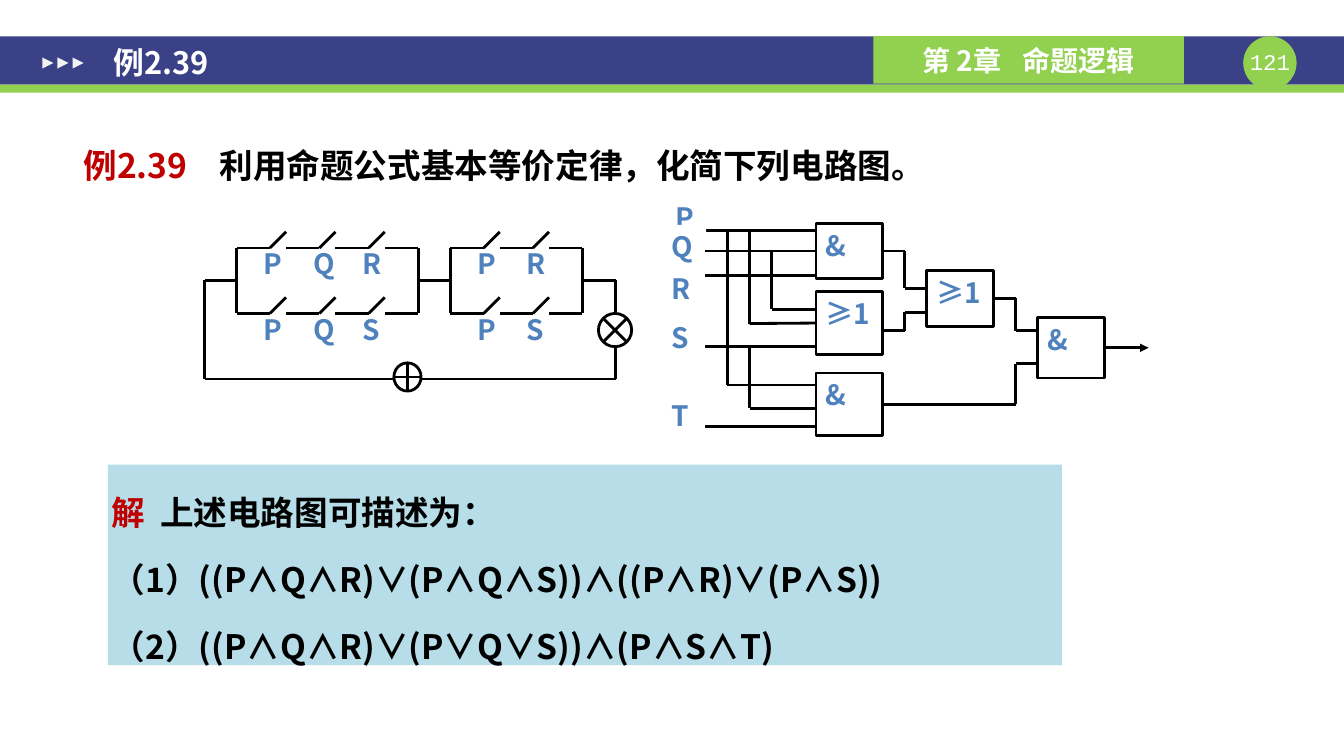
from itertools import pairwise

from lxml import etree
from pptx import Presentation
from pptx.dml.color import RGBColor
from pptx.enum import shapes, text
from pptx.oxml.ns import qn
from pptx.util import Emu, Pt

PX = 9144  # EMU per px, 100 px to the inch
SANS, MONO = "Noto Sans CJK SC", "Courier New"
NAVY, GREEN, WHITE, BLACK = "3A4187", "92D050", "FFFFFF", "000000"
RED, BLUE, PALE, GREY = "C00000", "4F81BD", "B7DEE8", "F2F2F2"
KIND = shapes.MSO_SHAPE
MIDDLE = text.MSO_ANCHOR.MIDDLE
CENTER, JUSTIFY = text.PP_ALIGN.CENTER, text.PP_ALIGN.JUSTIFY

# Content: a paragraph is a list of (text, format) spans
TITLE = [[("例2.39", {})]]
CHAPTER = [[("第 2章", {}), ("　", {"size": 15}), ("命题逻辑", {})]]
PROBLEM = [[("例2.39\t", {"color": RED}),
            ("利用命题公式基本等价定律，化简下列电路图。", {})]]
ANSWER = [
    [("解\t", {"color": RED}), ("上述电路图可描述为：", {})],
    [("（1）((P∧Q∧R)∨(P∧Q∧S))∧((P∧R)∨(P∧S))", {})],
    [("（2）((P∧Q∧R)∨(P∨Q∨S))∧(P∧S∧T)", {})],
]

# Switch circuit: left edge of each block and its two parallel branches
BLOCKS = [(235, ("PQR", "PQS")), (447, ("PR", "PS"))]
LANES = (246, 311)
LEAD, SWITCH = 33, 16
LOOP = [(235, 278), (203, 278), (203, 376), (611, 376), (611, 278), (578, 278)]
BRIDGE = [(415, 278), (447, 278)]
LAMP, SOURCE = (594, 311, 33, 33), (391, 360, 27, 28)

# Gate circuit
GATES = [("&", (810, 222, 66, 54)), ("≥1", (810, 289, 66, 63)),
         ("&", (810, 370, 66, 62)), ("≥1", (920, 268, 66, 56)),
         ("&", (1030, 315, 66, 60))]
INPUTS = [("P", (661, 194, 37, 29), 229), ("Q", (657, 223, 44, 39), 249),
          ("R", (657, 264, 44, 36), 273), ("S", (657, 313, 44, 56), 344),
          ("T", (657, 390, 44, 56), 423)]
ROUTES = [
    [(722, 229), (722, 382), (810, 382)],
    [(744, 229), (744, 321), (810, 321)],
    [(766, 249), (766, 307), (810, 307)],
    [(744, 344), (744, 405), (810, 405)],
    [(876, 249), (898, 249), (898, 286), (920, 286)],
    [(876, 328), (898, 328), (898, 310), (920, 310)],
    [(986, 296), (1008, 296), (1008, 328), (1030, 328)],
    [(876, 401), (1008, 401), (1008, 361), (1030, 361)],
]
OUTPUT = [(1096, 345), (1140, 345)]

deck = Presentation()
deck.slide_width, deck.slide_height = Emu(1334 * PX), Emu(750 * PX)
page = deck.slides.add_slide(deck.slide_layouts[6])


def rgb(value):
    return RGBColor.from_string(value)


def add_box(place, fill=None, line=None, kind=KIND.RECTANGLE):
    box = page.shapes.add_shape(kind, *(Emu(n * PX) for n in place))
    box.shadow.inherit = False
    if fill:
        box.fill.solid()
        box.fill.fore_color.rgb = rgb(fill)
    else:
        box.fill.background()
    if line:
        box.line.color.rgb = rgb(line)
        box.line.width = Pt(2)
    else:
        box.line.fill.background()
    return box


def write(box, paragraphs, size=20, color=BLACK, font=SANS, bold=True,
          align=text.PP_ALIGN.LEFT, anchor=text.MSO_ANCHOR.TOP,
          inset=(10, 5), leading=None, before=0, tab=None):
    frame = box.text_frame
    frame.word_wrap = True
    frame.vertical_anchor = anchor
    frame.margin_left = frame.margin_right = Emu(inset[0] * PX)
    frame.margin_top = frame.margin_bottom = Emu(inset[1] * PX)
    for index, spans in enumerate(paragraphs):
        para = frame.add_paragraph() if index else frame.paragraphs[0]
        para.alignment = align
        if leading:
            para.line_spacing = Pt(leading)
        if index:
            para.space_before = Pt(before)
        if tab:
            stops = etree.SubElement(para._p.get_or_add_pPr(), qn("a:tabLst"))
            etree.SubElement(stops, qn("a:tab"), pos=str(tab * PX), algn="l")
        for words, style in spans:
            span = para.add_run()
            span.text = words
            span.font.size = Pt(style.get("size", size))
            span.font.bold = bold
            span.font.color.rgb = rgb(style.get("color", color))
            span.font.name = font
            etree.SubElement(span._r.get_or_add_rPr(), qn("a:ea"), typeface=font)


def add_text(place, paragraphs, **style):
    write(page.shapes.add_textbox(*(Emu(n * PX) for n in place)), paragraphs, **style)


def add_label(words, place, line=None):
    box = add_box(place, WHITE, line)
    write(box, [[(words, {})]], color=BLUE, align=JUSTIFY)
    return box


def find_side(point, gates):
    """Gate and side index whose middle lies at the point."""
    for gate, (left, top, width, height) in gates:
        for side, x in ((1, left), (3, left + width)):
            if point[0] == x and abs(point[1] - top - height / 2) < 1:
                return gate, side
    return None


def add_wires(points, gates=(), arrow=False):
    for start, end in pairwise(points):
        wire = page.shapes.add_connector(
            shapes.MSO_CONNECTOR.STRAIGHT, *(Emu(n * PX) for n in start + end))
        wire.line.color.rgb = rgb(BLACK)
        wire.line.width = Pt(2)
        if arrow:
            etree.SubElement(wire.line._get_or_add_ln(), qn("a:tailEnd"), type="triangle")
        etree.SubElement(wire._element.spPr, qn("a:effectLst"))
        for point, join in ((start, wire.begin_connect), (end, wire.end_connect)):
            found = find_side(point, gates)
            if found:
                join(*found)


# Header band
add_box((0, 36, 1334, 48), NAVY)
add_box((0, 84, 1334, 8), GREEN)
add_box((1234, 36, 53, 53), GREEN, kind=KIND.OVAL)
add_text((1234, 48, 53, 27), [[("121", {})]], size=16, color=WHITE, font=MONO,
         bold=False, align=CENTER, inset=(0, 0))
write(add_box((867, 36, 308, 47), GREEN), CHAPTER, color=WHITE, align=CENTER, anchor=MIDDLE)
for number in range(3):
    marker = add_box((42 + 15 * number, 57, 11, 11), GREY, kind=KIND.ISOSCELES_TRIANGLE)
    marker.rotation = 90
add_text((100, 11, 882, 101), TITLE, size=22, color=WHITE, anchor=MIDDLE, inset=(13, 7))

# Problem statement
add_text((70, 116, 1188, 59), PROBLEM, size=24, inset=(13, 7), leading=44, tab=135)

# Gate circuit
gates = [(add_label(words, place, BLACK), place) for words, place in GATES]
for name, place, y in INPUTS:
    add_label(name, place)
    add_wires([(700, y), (810, y)], gates)
for route in ROUTES:
    add_wires(route, gates)
add_wires(OUTPUT, gates, arrow=True)

# Switch circuit
for left, branches in BLOCKS:
    for lane, names in zip(LANES, branches):
        x = left
        for name in names:
            add_label(name, (x + LEAD - 16, lane - 6, 33, 46))
            add_wires([(x, lane), (x + LEAD, lane), (x + LEAD + SWITCH, lane - SWITCH)])
            x += LEAD + SWITCH
        add_wires([(x, lane), (x + LEAD, lane)])
    for side in (left, x + LEAD):
        add_wires([(side, lane) for lane in LANES])
add_wires(LOOP)
add_wires(BRIDGE)
add_box(LAMP, WHITE, BLACK, KIND.FLOWCHART_SUMMING_JUNCTION)
add_box(SOURCE, WHITE, BLACK, KIND.FLOWCHART_OR)

# Answer
write(add_box((107, 461, 947, 199), PALE), ANSWER, size=24, align=JUSTIFY,
      inset=(4, 4), leading=45, before=3, tab=48)

deck.save("out.pptx")
